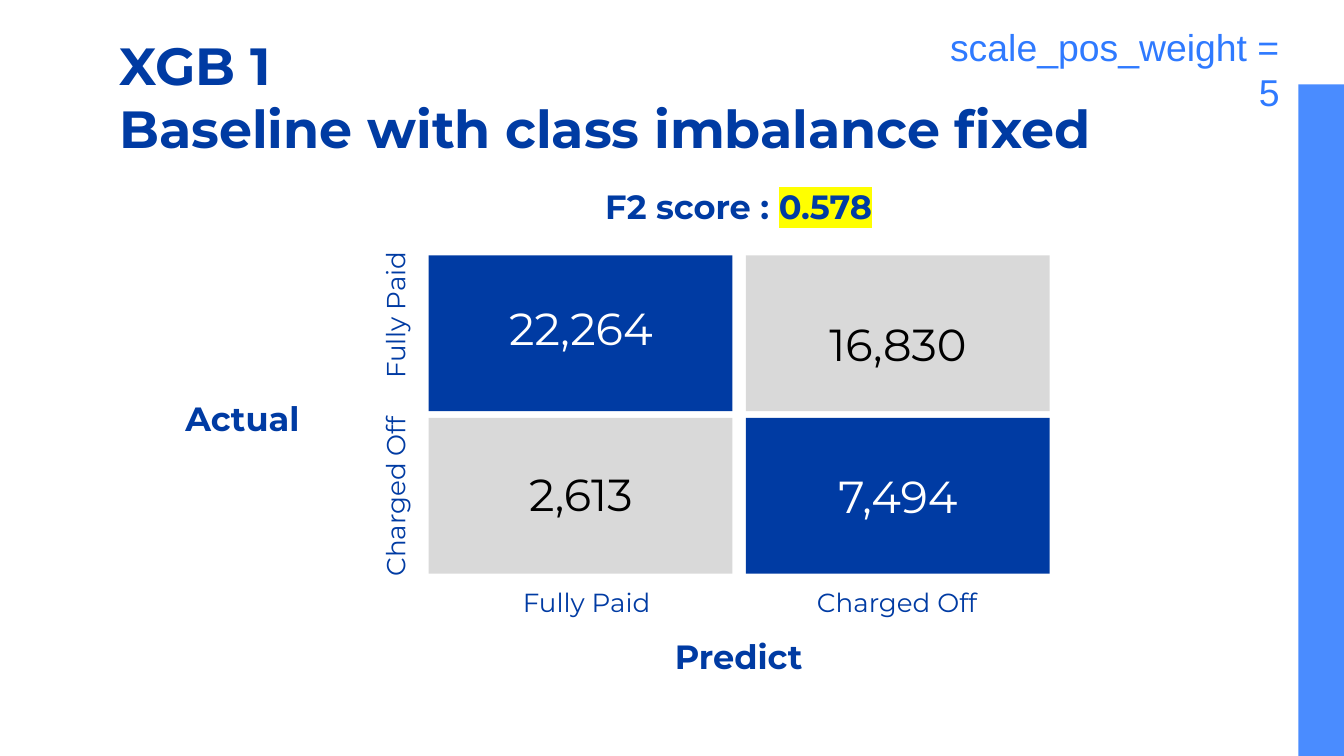
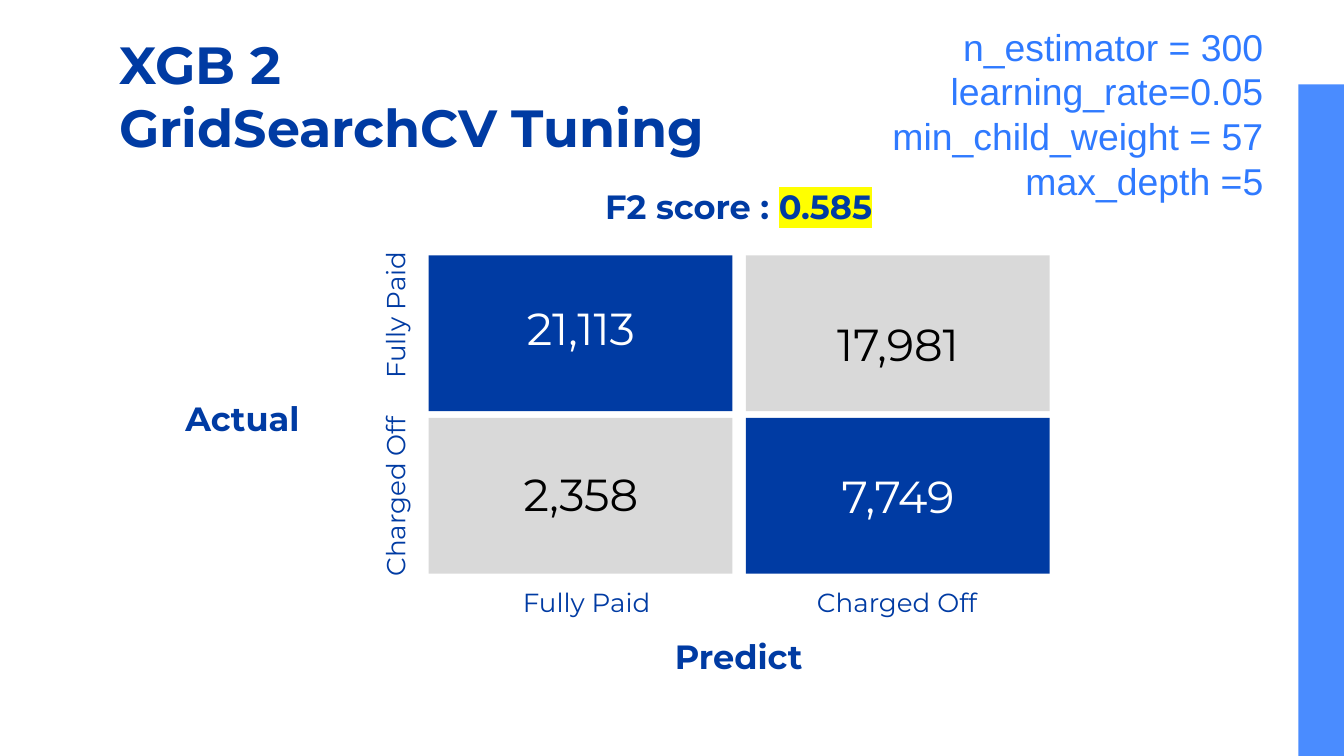
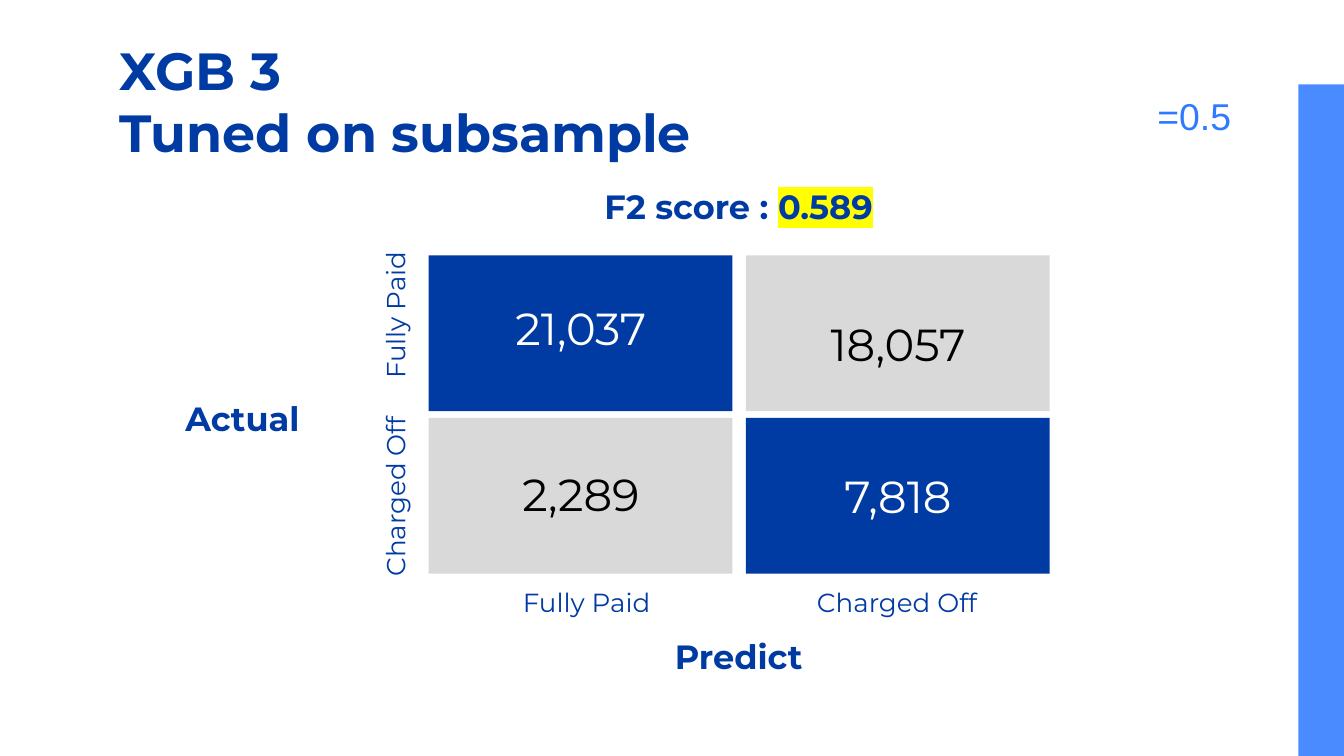
from dataclasses import dataclass
from itertools import product
from typing import Any, NamedTuple

from lxml.etree import SubElement as Node
from pptx import Presentation as Deck
from pptx.dml.color import RGBColor as Rgb
from pptx.enum.shapes import MSO_SHAPE as Shape
from pptx.enum.text import MSO_ANCHOR as Anchor, PP_ALIGN as Align
from pptx.oxml.ns import qn
from pptx.util import Pt

NAVY, BAND, SKY = "003BA3", "4A8CFF", "2F7AFF"
GREY, WHITE, BLACK, GLOW = "D9D9D9", "FFFFFF", "000000", "FFFF00"
INSET = 7.2
CELL_X, CELL_Y, STEP_X, STEP_Y = 229.7, 136.8, 169.9, 87.1
CELL_W, CELL_H = 162.7, 83.5
CLASSES = ("Fully Paid", "Charged Off")
DROPS = ((17.3, 8.6), (18.7, 20.2))


class Box(NamedTuple):
    left: float
    top: float
    width: float
    height: float
    turn: float = 0


@dataclass(frozen=True)
class Style:
    size: float
    color: str = NAVY
    bold: bool = False
    face: str = "Montserrat"
    align: Any = Align.CENTER
    anchor: Any = Anchor.TOP
    after: float = 16
    pitch: float | None = None


@dataclass(frozen=True)
class Model:
    title: str
    top: float
    score: str
    counts: tuple[tuple[str, str], tuple[str, str]]
    notes: tuple[str, ...]
    place: Box
    foot: float


HEAD = Style(28, bold=True, align=Align.LEFT, after=0)
AXIS = Style(18, bold=True)
SIDE = Style(18, bold=True, align=Align.LEFT)
LABEL = Style(14)
NOTE = Style(20, SKY, face="Arial", align=Align.RIGHT, anchor=Anchor.BOTTOM,
             after=0, pitch=24)

MODELS = (
    Model("XGB 1\vBaseline with class imbalance fixed", 10.8, "0.578",
          (("22,264", "16,830"), ("2,613", "7,494")),
          ("scale_pos_weight = 5",), Box(501.8, 14.4, 190.8, 90), 46),
    Model("XGB 2\vGridSearchCV Tuning", 10.1, "0.585",
          (("21,113", "17,981"), ("2,358", "7,749")),
          ("n_estimator = 300", "learning_rate=0.05",
           "min_child_weight = 57", "max_depth =5"),
          Box(463, 89.3, 221, 90), 70.5),
    Model("XGB 3\vTuned on subsample", 13, "0.589",
          (("21,037", "18,057"), ("2,289", "7,818")),
          ("=0.5",), Box(445.7, 27.4, 221, 90), 70.5),
)


def paint(color: str) -> Rgb:
    return Rgb.from_string(color)


def assign(target: Any, values: dict[str, Any]) -> None:
    for name, value in values.items():
        setattr(target, name, value)


def frame(box: Box) -> list[Pt]:
    return [Pt(size) for size in box[:4]]


def block(slide: Any, box: Box, color: str) -> None:
    shape = slide.shapes.add_shape(Shape.RECTANGLE, *frame(box))
    shape.rotation = box.turn
    shape.shadow.inherit = False
    shape.fill.solid()
    shape.fill.fore_color.rgb = paint(color)
    shape.line.fill.background()


def add_run(para: Any, text: str, style: Style) -> Any:
    para.add_run().text = text
    run = para.runs[-1]
    assign(run.font, {"size": Pt(style.size), "bold": style.bold,
                      "name": style.face})
    run.font.color.rgb = paint(style.color)
    return run


def write(slide: Any, box: Box, lines: tuple[str, ...], style: Style,
          foot: float = INSET) -> Any:
    shape = slide.shapes.add_textbox(*frame(box))
    shape.rotation = box.turn
    body = shape.text_frame
    assign(body, {"word_wrap": True, "vertical_anchor": style.anchor,
                  "margin_left": Pt(INSET), "margin_right": Pt(INSET),
                  "margin_top": Pt(INSET), "margin_bottom": Pt(foot)})
    for index, line in enumerate(lines):
        para = body.add_paragraph() if index else body.paragraphs[0]
        assign(para, {"alignment": style.align,
                      "space_after": Pt(style.after),
                      "line_spacing": Pt(style.pitch) if style.pitch else 1.0})
        for part, text in enumerate(line.split("\v")):
            if part:
                para.add_line_break()
            add_run(para, text, style)
    return body.paragraphs[0]


def mark(run: Any, color: str) -> None:
    props = run.font._element
    glow = Node(props, qn("a:highlight"))
    Node(glow, qn("a:srgbClr"), val=color)
    props.find(qn("a:solidFill")).addnext(glow)


def matrix(slide: Any, counts: tuple[tuple[str, str], ...]) -> None:
    spots = list(product(range(2), repeat=2))
    for row, col in spots:
        box = Box(CELL_X + col * STEP_X, CELL_Y + row * STEP_Y, CELL_W, CELL_H)
        block(slide, box, NAVY if row == col else GREY)
    for row, col in spots:
        box = Box(CELL_X + 12 + col * STEP_X,
                  CELL_Y + row * STEP_Y + DROPS[row][col], 139, 77.8)
        anchor = Anchor.MIDDLE if (row, col) == (0, 1) else Anchor.TOP
        style = Style(24, WHITE if row == col else BLACK, anchor=anchor)
        write(slide, box, (counts[row][col],), style)
    for index, name in enumerate(CLASSES):
        write(slide, Box(254.9 + index * 166.3, 306.7, 118.8, 26.6),
              (name,), LABEL)
        write(slide, Box(149.8, 155.5 + index * 97.2, 118.8, 26.6, 270),
              (name,), LABEL)


def build(deck: Any, model: Model) -> None:
    slide = deck.slides.add_slide(deck.slide_layouts[6])
    block(slide, Box(527.8, 213, 360, 24.5, 90), BAND)
    write(slide, Box(56.9, model.top, 607, 51.1), (model.title,), HEAD)
    score = write(slide, Box(290.2, 92.2, 211, 32.4), ("F2 score : ",), AXIS)
    mark(add_run(score, model.score, AXIS), GLOW)
    matrix(slide, model.counts)
    write(slide, Box(290.2, 333.4, 211, 32.4), ("Predict",), AXIS)
    write(slide, Box(92.2, 205.9, 118.8, 32.4), ("Actual",), SIDE)
    write(slide, model.place, model.notes, NOTE, model.foot)


def main() -> None:
    deck = Deck()
    assign(deck, {"slide_width": Pt(720), "slide_height": Pt(405)})
    for model in MODELS:
        build(deck, model)
    deck.save("out.pptx")


if __name__ == "__main__":
    main()
